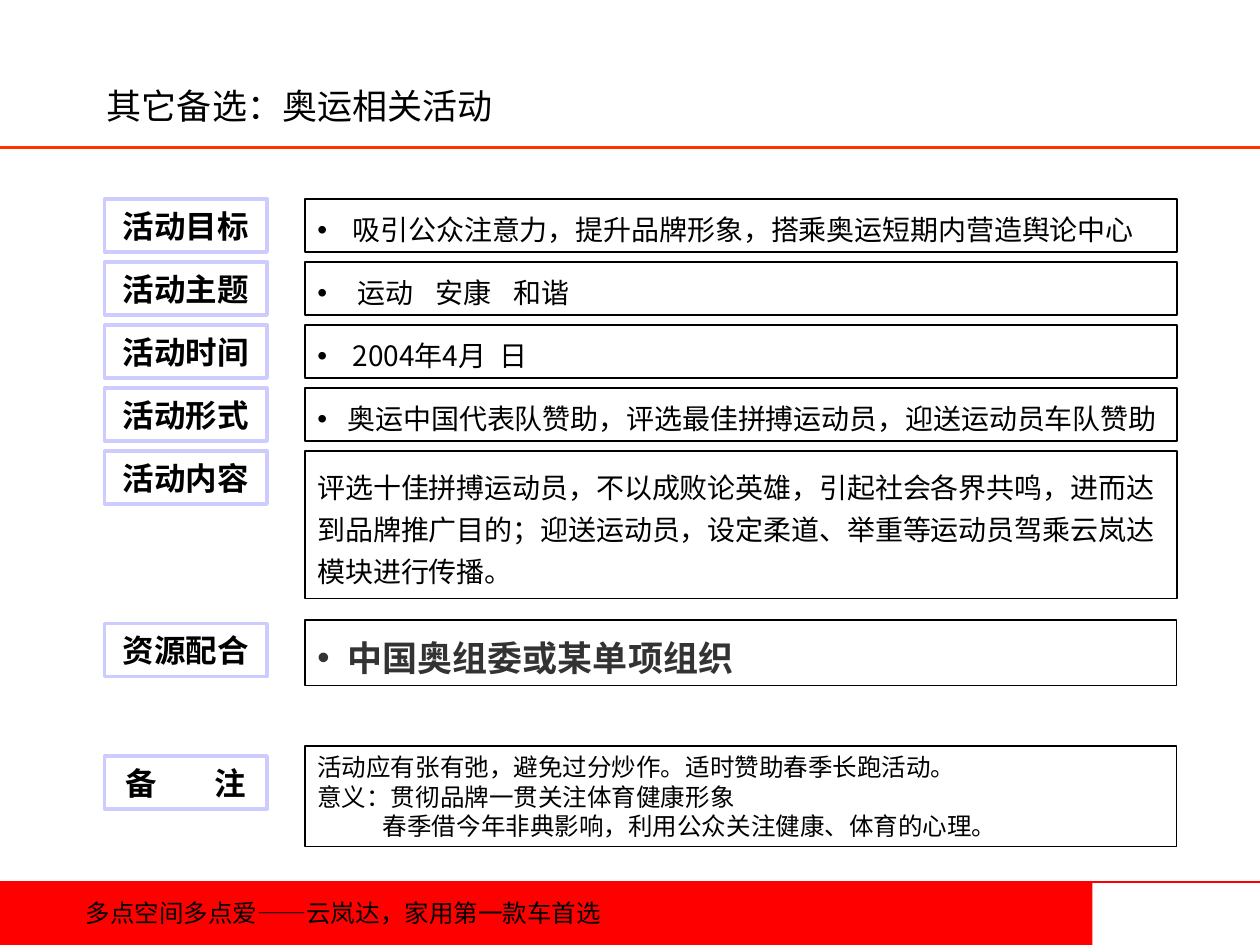
"""Build the slide of Olympic-related campaign options."""
from lxml.etree import SubElement
from pptx import Presentation
from pptx.dml.color import RGBColor
from pptx.enum.shapes import MSO_CONNECTOR, MSO_SHAPE
from pptx.enum.text import MSO_ANCHOR, PP_ALIGN
from pptx.oxml import parse_xml
from pptx.oxml.ns import qn
from pptx.util import Inches, Pt

SERIF, SANS = "Times New Roman", "Noto Sans CJK SC"
NAMESPACE = "http://schemas.openxmlformats.org/drawingml/2006/main"
SHADOW = (f'<a:effectLst xmlns:a="{NAMESPACE}"><a:outerShdw dist="17961" dir="2700000">'
          '<a:srgbClr val="000080"/></a:outerShdw></a:effectLst>')

TITLE = "其它备选：奥运相关活动"
SLOGAN = "多点空间多点爱——云岚达，家用第一款车首选"
LINES = [(1.17, "FF3300"), (7, "FF0000")]
BODY = {"size": 16, "name": SANS, "spacing": 1.25}
NOTE = {"size": 14, "name": SERIF}
ROWS = [
    {"label": "活动目标", "tops": (1.58, 1.58), "height": 0.42,
     "texts": ["吸引公众注意力，提升品牌形象，搭乘奥运短期内营造舆论中心"],
     "style": {**BODY, "bullet": True, "margin": 0.28}},
    {"label": "活动主题", "tops": (2.08, 2.08), "height": 0.42, "texts": ["运动 安康 和谐"],
     "style": {**BODY, "name": SERIF, "bullet": True, "margin": 0.32, "gap": 9}},
    {"label": "活动时间", "tops": (2.58, 2.58), "height": 0.42, "texts": ["2004年4月 日"],
     "style": {**BODY, "bullet": True, "margin": 0.28, "gap": 4}},
    {"label": "活动形式", "tops": (3.08, 3.08), "height": 0.42,
     "texts": ["奥运中国代表队赞助，评选最佳拼搏运动员，迎送运动员车队赞助"],
     "style": {**BODY, "bullet": True, "margin": 0.24}},
    {"label": "活动内容", "tops": (3.58, 3.58), "height": 1.17,
     "texts": ["评选十佳拼搏运动员，不以成败论英雄，引起社会各界共鸣，进而达到品牌推广目的；"
               "迎送运动员，设定柔道、举重等运动员驾乘云岚达模块进行传播。"],
     "style": BODY},
    {"label": "资源配合", "tops": (4.95, 4.92), "height": 0.52, "line": 0.75, "anchor": MSO_ANCHOR.TOP,
     "texts": ["中国奥组委或某单项组织"],
     "style": {**BODY, "size": 20, "bold": True, "color": "333333", "bullet": True, "margin": 0.24}},
    {"label": "备 注", "tops": (6, 5.92), "height": 0.8, "line": 0.75, "anchor": MSO_ANCHOR.TOP,
     "texts": ["活动应有张有弛，避免过分炒作。适时赞助春季长跑活动。",
               "意义：贯彻品牌一贯关注体育健康形象",
               ("春季借今年非典影响，利用公众关注健康、体育的心理。", 0.52)],
     "style": NOTE},
]
LABEL = {"size": 18, "name": SERIF, "bold": True, "align": PP_ALIGN.CENTER, "gap": 29}


def rgb(color):
    return RGBColor.from_string(color)


def add_span(para, text, style):
    span = para.add_run()
    span.text = text
    values = {"name": style["name"], "size": Pt(style["size"]), "bold": style.get("bold", False)}
    for key, value in values.items():
        setattr(span.font, key, value)
    span.font.color.rgb = rgb(style.get("color", "000000"))
    properties = span.font._element
    properties.find(qn("a:latin")).addnext(
        parse_xml(f'<a:ea xmlns:a="{NAMESPACE}" typeface="{SANS}"/>'))
    if style.get("shadow"):
        properties.find(qn("a:solidFill")).addnext(parse_xml(SHADOW))
    if text == " ":
        properties.set("spc", str(style["gap"] * 100))


def write(box, texts, style, anchor=MSO_ANCHOR.MIDDLE, wrap=True):
    frame = box.text_frame
    frame.word_wrap = wrap
    frame.vertical_anchor = anchor
    for index, item in enumerate(texts):
        text, margin = item if isinstance(item, tuple) else (item, style.get("margin", 0))
        para = frame.add_paragraph() if index else frame.paragraphs[0]
        para.alignment = style.get("align", PP_ALIGN.LEFT)
        para.line_spacing = style.get("spacing", 1.0)
        properties = para._p.get_or_add_pPr()
        properties.set("marL", str(Inches(margin)))
        properties.set("indent", str(-Inches(margin) if style.get("bullet") else 0))
        if style.get("bullet"):
            SubElement(properties, qn("a:buFont"), typeface="Arial")
            SubElement(properties, qn("a:buChar"), char="•")
        else:
            SubElement(properties, qn("a:buNone"))
        words = text.split(" ")
        for position, word in enumerate(words):
            if position:
                add_span(para, " ", style)
            add_span(para, word, style)


def add_box(page, place, fill=None, line=None, width=1):
    box = page.shapes.add_shape(MSO_SHAPE.RECTANGLE, *map(Inches, place))
    box.shadow.inherit = False
    if fill:
        box.fill.solid()
        box.fill.fore_color.rgb = rgb(fill)
    else:
        box.fill.background()
    if line:
        box.line.color.rgb = rgb(line)
        box.line.width = Pt(width)
    else:
        box.line.fill.background()
    return box


def add_text(page, place, text, style, anchor):
    write(page.shapes.add_textbox(*map(Inches, place)), [text], style, anchor)


def main():
    deck = Presentation()
    deck.slide_width, deck.slide_height = Inches(10), Inches(7.5)
    page = deck.slides.add_slide(deck.slide_layouts[6])
    for top, color in LINES:
        rule = page.shapes.add_connector(
            MSO_CONNECTOR.STRAIGHT, 0, Inches(top), Inches(10), Inches(top))
        rule.line.color.rgb = rgb(color)
        rule.line.width = Pt(1.5)
        SubElement(rule._element.spPr, qn("a:effectLst"))
    add_box(page, (0, 7, 8.67, 0.5), fill="FF0000")
    add_text(page, (0.58, 7.08, 5.39, 0.34), SLOGAN, {**NOTE, "shadow": True}, MSO_ANCHOR.TOP)
    for row in ROWS:
        label_top, content_top = row["tops"]
        label = add_box(page, (0.83, label_top, 1.29, 0.42), line="CCCCFF", width=2)
        write(label, [row["label"]], LABEL, wrap=False)
        content = add_box(page, (2.42, content_top, 6.92, row["height"]),
                          line="000000", width=row.get("line", 1))
        write(content, row["texts"], row["style"], row.get("anchor", MSO_ANCHOR.MIDDLE))
    add_text(page, (0.75, 0.5, 7.75, 0.67), TITLE, {"size": 20, "name": SERIF}, MSO_ANCHOR.MIDDLE)
    deck.save("out.pptx")


if __name__ == "__main__":
    main()
